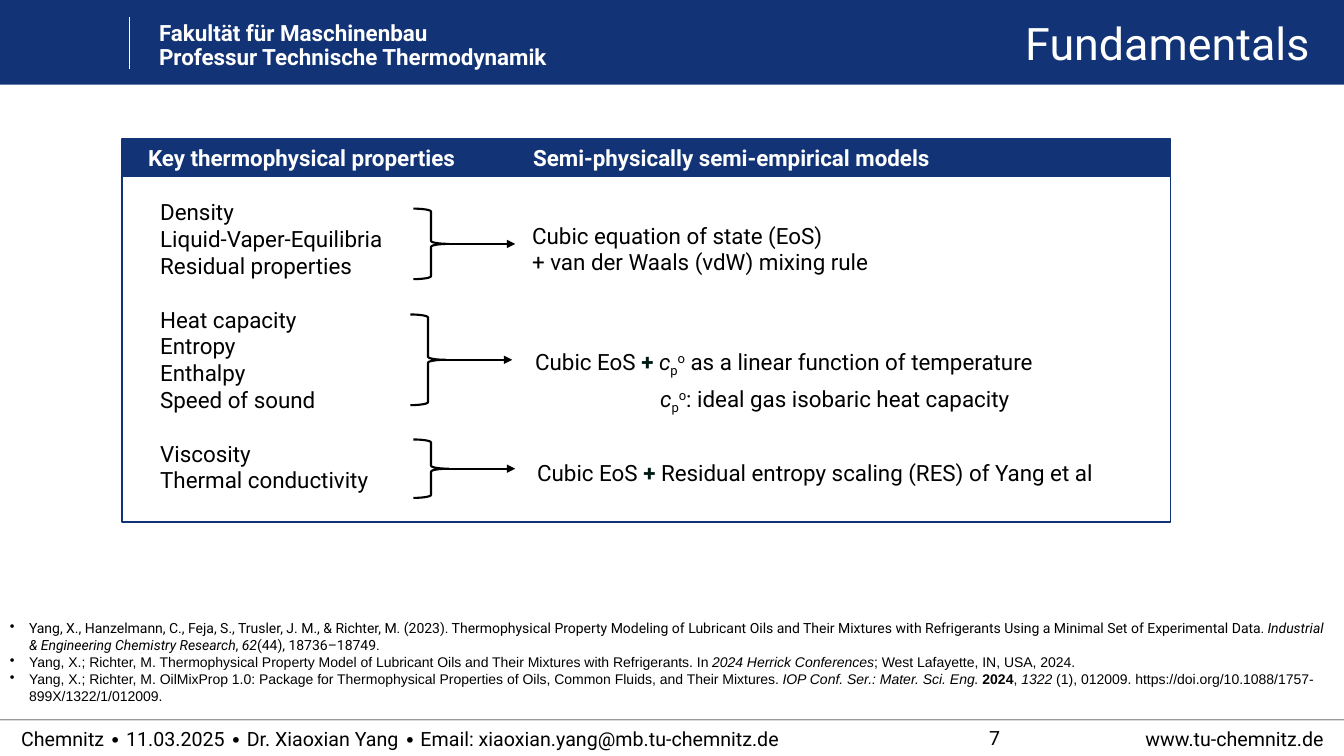
from lxml import etree
from pptx import Presentation
from pptx.dml.color import RGBColor
from pptx.enum.shapes import MSO_CONNECTOR, MSO_SHAPE
from pptx.enum.text import MSO_ANCHOR, PP_ALIGN
from pptx.oxml.ns import qn
from pptx.util import Inches, Pt

LEFT, CENTER, RIGHT = PP_ALIGN.LEFT, PP_ALIGN.CENTER, PP_ALIGN.RIGHT
TOP, MIDDLE = MSO_ANCHOR.TOP, MSO_ANCHOR.MIDDLE
RECTANGLE, BRACE = MSO_SHAPE.RECTANGLE, MSO_SHAPE.RIGHT_BRACE
STRAIGHT = MSO_CONNECTOR.STRAIGHT
BLUE, BLACK, WHITE, PLUS = "123375", "000000", "FFFFFF", "001915"
BASELINES = {"sub": "-25000", "sup": "30000"}

# A line is a list of spans: (text, style), where style is a word or "".
FACULTY = [
    [("Fakultät für Maschinenbau", "")],
    [("Professur Technische Thermodynamik", "")],
]
TITLE = "Fundamentals"
HEADINGS = [
    (1.37, "Key thermophysical properties"),
    (5.19, "Semi-physically semi-empirical models"),
]
PROPERTY_GROUPS = [
    ["Density", "Liquid-Vaper-Equilibria", "Residual properties"],
    ["Heat capacity", "Entropy", "Enthalpy", "Speed of sound"],
    ["Viscosity", "Thermal conductivity"],
]
BRACES = [(4.1, 2.07, 0.7), (4.07, 3.12, 0.9), (4.1, 4.36, 0.58)]
CP = [("c", "italic"), ("p", "sub"), ("o", "sup")]
MODELS = [
    ((5.18, 2.15, 5.76, 0.64), [
        [("Cubic equation of state (EoS)", "")],
        [("+ van der Waals (vdW) mixing rule", "")],
    ]),
    ((5.21, 3.4, 5.97, 0.37), [
        [("Cubic EoS ", ""), ("+ ", "plus"), *CP,
         (" as a linear function of temperature", "")],
    ]),
    ((6.45, 3.77, 3.74, 0.37), [
        [*CP, (": ideal gas isobaric heat capacity", "")],
    ]),
    ((5.23, 4.51, 6.46, 0.37), [
        [("Cubic EoS ", ""), ("+", "plus"),
         (" Residual entropy scaling (RES) of Yang et al", "")],
    ]),
]
REFERENCES = [
    ("Roboto", [
        ("Yang, X., Hanzelmann, C., Feja, S., Trusler, J. M., & Richter, M. (2023). "
         "Thermophysical Property Modeling of Lubricant Oils and Their Mixtures with "
         "Refrigerants Using a Minimal Set of Experimental Data. ", ""),
        ("Industrial & Engineering Chemistry Research", "italic"), (", ", ""),
        ("62", "italic"), ("(44), 18736–18749.", ""),
    ]),
    ("Arial", [
        ("Yang, X.; Richter, M. Thermophysical Property Model of Lubricant Oils and "
         "Their Mixtures with Refrigerants. In ", ""),
        ("2024 Herrick Conferences", "italic"),
        ("; West Lafayette, IN, USA, 2024.", ""),
    ]),
    ("Arial", [
        ("Yang, X.; Richter, M. OilMixProp 1.0: Package for Thermophysical Properties "
         "of Oils, Common Fluids, and Their Mixtures. ", ""),
        ("IOP Conf. Ser.: Mater. Sci. Eng. ", "italic"), ("2024", "bold"), (", ", ""),
        ("1322", "italic"),
        (" (1), 012009. https://doi.org/10.1088/1757-899X/1322/1/012009.", ""),
    ]),
]
FOOTER = [
    ((0.21, 7.14, 9.32, 0.37), LEFT,
     "Chemnitz ∙ 11.03.2025 ∙ Dr. Xiaoxian Yang ∙ Email: xiaoxian.yang@mb.tu-chemnitz.de"),
    ((8.52, 7.14, 2.69, 0.36), CENTER, "7"),
    ((9.03, 7.14, 4.1, 0.37), RIGHT, "www.tu-chemnitz.de"),
]

deck = Presentation()
deck.slide_width, deck.slide_height = Inches(13.33), Inches(7.5)
page = deck.slides.add_slide(deck.slide_layouts[6])


def color(value):
    return RGBColor.from_string(value)


def add_block(kind, area, fill=None, line=None, width=1):
    block = page.shapes.add_shape(kind, *map(Inches, area))
    block.shadow.inherit = False
    if fill:
        block.fill.solid()
        block.fill.fore_color.rgb = color(fill)
    else:
        block.fill.background()
    if line:
        block.line.color.rgb = color(line)
        block.line.width = Pt(width)
    else:
        block.line.fill.background()


def add_line(start, end, tint, width, arrow=False, opacity=None):
    line = page.shapes.add_connector(STRAIGHT, *map(Inches, start + end))
    line.line.color.rgb = color(tint)
    line.line.width = Pt(width)
    stroke = line.line._get_or_add_ln()
    if arrow:
        etree.SubElement(stroke, qn("a:tailEnd"), type="triangle")
    if opacity:
        tone = stroke.find(".//" + qn("a:srgbClr"))
        etree.SubElement(tone, qn("a:alpha"), val=str(opacity * 1000))
    etree.SubElement(line._element.spPr, qn("a:effectLst"))


def add_text(area, lines, size=16, tint=BLACK, bold=False, align=LEFT,
             anchor=TOP, spacing=1.0, inset=True):
    """Add a text box with one paragraph per line and return its paragraphs."""
    frame = page.shapes.add_textbox(*map(Inches, area)).text_frame
    frame.word_wrap = True
    frame.vertical_anchor = anchor
    if not inset:
        frame.margin_left = frame.margin_right = 0
        frame.margin_top = frame.margin_bottom = 0
    for index, spans in enumerate(lines):
        para = frame.add_paragraph() if index else frame.paragraphs[0]
        para.alignment = align
        para.line_spacing = spacing
        para.font.name = "Roboto"
        para.font.size = Pt(size)
        para.font.bold = bold
        para.font.color.rgb = color(tint)
        for text, style in spans:
            span = para.add_run()
            span.text = text
            if style == "italic":
                span.font.italic = True
            elif style in ("bold", "plus"):
                span.font.bold = True
            if style == "plus":
                span.font.color.rgb = color(PLUS)
            if style in BASELINES:
                span._r.get_or_add_rPr().set("baseline", BASELINES[style])
    return frame.paragraphs


# Header and footer
add_block(RECTANGLE, (0, 0, 13.33, 0.84), fill=BLUE)
add_line((1.28, 0.17), (1.28, 0.68), WHITE, 0.5)
add_text((1.48, 0.17, 11.64, 0.51), FACULTY, tint=WHITE, bold=True, spacing=0.9)
add_text((5.43, 0.14, 7.66, 0.64), [[(TITLE, "")]], size=32, tint=WHITE,
         align=RIGHT, anchor=MIDDLE, spacing=0.9)
add_line((0, 7.14), (13.33, 7.14), BLACK, 1, opacity=40)
for area, align, text in FOOTER:
    add_text(area, [[(text, "")]], size=14, align=align, anchor=MIDDLE, inset=False)

# Framed overview
add_block(RECTANGLE, (1.21, 1.38, 10.4, 0.37), fill=BLUE, line=BLUE, width=0.75)
add_block(RECTANGLE, (1.21, 1.38, 10.4, 3.8), line=BLUE)
for left, heading in HEADINGS:
    add_text((left, 1.38, 4.5, 0.37), [[(heading, "")]], tint=WHITE, bold=True,
             anchor=MIDDLE)

properties = [[(name, "")] for group in PROPERTY_GROUPS for name in group]
paras = add_text((1.49, 1.92, 2.71, 3.06), properties)
first = 0
for group in PROPERTY_GROUPS[:-1]:
    first += len(group)
    paras[first].space_before = Pt(19)

for left, top, height in BRACES:
    middle = top + height / 2
    add_block(BRACE, (left, top, 0.35, height), line=BLACK, width=1.5)
    add_line((left + 0.27, middle), (left + 1.01, middle), BLACK, 1.5, arrow=True)
for area, lines in MODELS:
    add_text(area, lines)

# References
paras = add_text((0, 6.1, 13.33, 0.94), [spans for _, spans in REFERENCES], size=10)
for para, (font, _) in zip(paras, REFERENCES):
    para.font.name = font
    layout = para._p.get_or_add_pPr()
    layout.set("marL", str(Inches(0.19)))
    layout.set("indent", str(-Inches(0.19)))
    bullet = etree.Element(qn("a:buChar"), char="•")
    layout.find(qn("a:defRPr")).addprevious(bullet)

deck.save("out.pptx")
